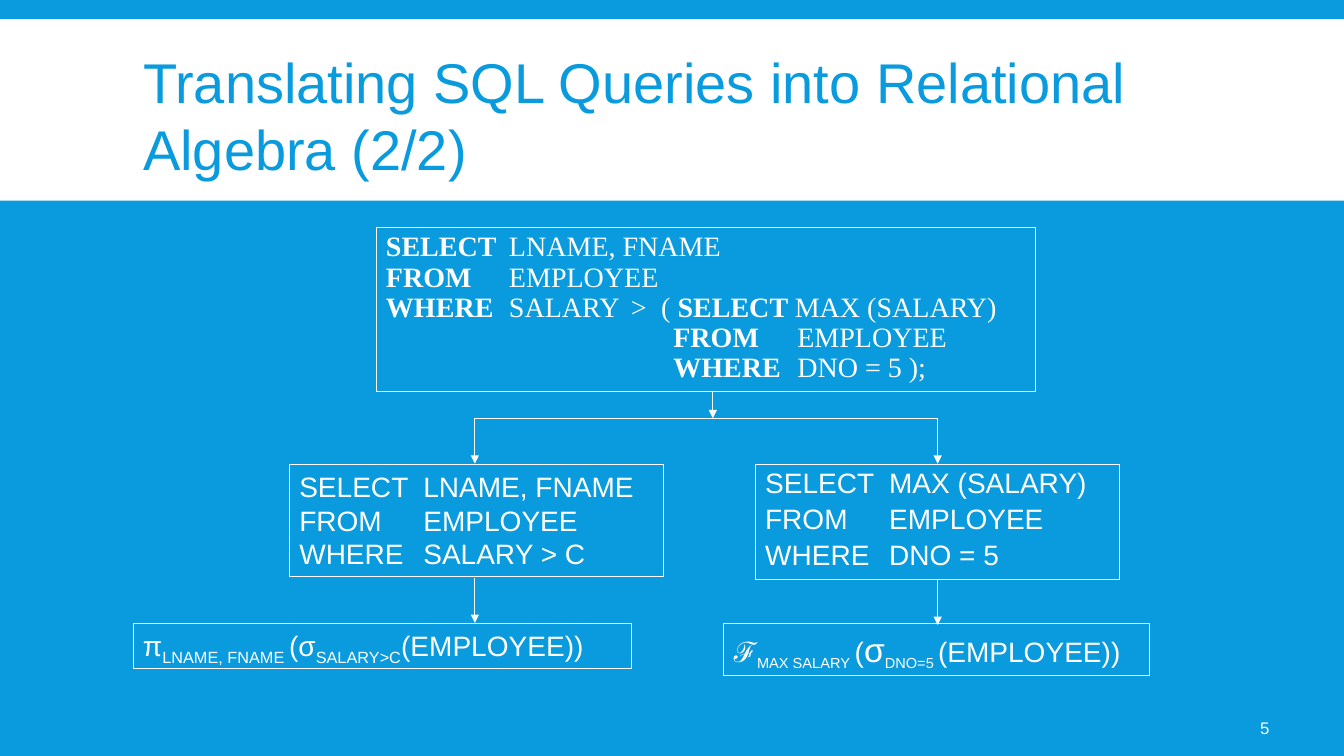
"""Build a slide that splits a nested SQL query into relational algebra."""
import lxml.etree
import pptx
import pptx.dml.color
import pptx.enum.shapes
import pptx.enum.text
import pptx.oxml.ns
import pptx.util

Inches = pptx.util.Inches
Pt = pptx.util.Pt
Shape = pptx.enum.shapes.MSO_SHAPE
Align = pptx.enum.text.PP_ALIGN
Anchor = pptx.enum.text.MSO_ANCHOR
qn = pptx.oxml.ns.qn


class Theme:
    blue = pptx.dml.color.RGBColor.from_string("099BDD")
    white = pptx.dml.color.RGBColor.from_string("FFFFFF")
    sans = "Arial"
    serif = "Times New Roman"
    title = 40
    sigma = 24
    text = 20
    sub = 18
    page = 12
    rule = 0.75


def put(para, text, size=Theme.text, face=Theme.sans, color=Theme.white, bold=False, base=0):
    run = para.add_run()
    run.text = text
    run.font.size = Pt(size)
    run.font.name = face
    run.font.color.rgb = color
    run.font.bold = bold
    if base:
        run._r.get_or_add_rPr().set("baseline", str(base * 1000))


deck = pptx.Presentation()
deck.slide_width = Inches(13.33)
deck.slide_height = Inches(7.5)
slide = deck.slides.add_slide(deck.slide_layouts[5])
slide.background.fill.solid()
slide.background.fill.fore_color.rgb = Theme.blue

band = slide.shapes.add_shape(Shape.RECTANGLE, 0, Inches(0.19), Inches(13.33), Inches(1.8))
band.shadow.inherit = False
band.fill.solid()
band.fill.fore_color.rgb = Theme.white
band.line.fill.background()
slide.shapes._spTree.insert(2, band._element)

title = slide.shapes.title
title.left, title.top = Inches(1.32), Inches(0.31)
title.width, title.height = Inches(10.7), Inches(1.65)
frame = title.text_frame
frame.auto_size = pptx.enum.text.MSO_AUTO_SIZE.NONE
frame.word_wrap = True
frame.vertical_anchor = Anchor.MIDDLE
frame.paragraphs[0].alignment = Align.LEFT
put(frame.paragraphs[0], "Translating SQL Queries into Relational Algebra (2/2)",
    size=Theme.title, color=Theme.blue)

page = slide.shapes.add_textbox(Inches(11.66), Inches(7.02), Inches(1.03), Inches(0.4))
frame = page.text_frame
frame.word_wrap = True
frame.margin_left = Inches(0.05)
frame.vertical_anchor = Anchor.MIDDLE
frame.paragraphs[0].alignment = Align.RIGHT
put(frame.paragraphs[0], "5", size=Theme.page)

plain = {"face": Theme.serif}
key = {"face": Theme.serif, "bold": True}
low = {"base": -25}
small = {"size": Theme.sub, "base": -25}
outer = [1.22, 2.43, 2.73]
inner = [2.85, 4.08]
pair = [1.23]

boxes = [
    ((3.73, 2.26, 6.54, 1.62), 0.9, 0, [
        (outer, [("SELECT", key), ("\tLNAME, FNAME", plain)]),
        (outer, [("FROM", key), ("\tEMPLOYEE", plain)]),
        (outer, [("WHERE", key), ("\tSALARY\t>\t( ", plain), ("SELECT ", key),
                 ("MAX (SALARY)", plain)]),
        (inner, [("\tFROM", key), ("\tEMPLOYEE", plain)]),
        (inner, [("\tWHERE", key), ("\tDNO = 5 );", plain)]),
    ]),
    ((2.87, 4.61, 3.71, 1.11), 1.0, 0, [
        (pair, [("SELECT\tLNAME, FNAME", {})]),
        (pair, [("FROM\tEMPLOYEE", {})]),
        (pair, [("WHERE\tSALARY > C", {})]),
    ]),
    ((7.49, 4.61, 3.61, 1.14), 0.9, 4, [
        (pair, [("SELECT\tMAX (SALARY)", {})]),
        (pair, [("FROM\tEMPLOYEE", {})]),
        (pair, [("WHERE\tDNO = 5", {})]),
    ]),
    ((1.32, 6.19, 4.94, 0.44), 1.0, 0, [
        ([], [("π", {}), ("LNAME, FNAME ", low), ("(σ", {}), ("SALARY>C", low),
              ("(EMPLOYEE))", {})]),
    ]),
    ((7.18, 6.19, 4.22, 0.51), 1.0, 0, [
        ([], [("ℱ", {}), ("MAX SALARY", small), (" ", low), ("(", {}),
              ("σ", {"size": Theme.sigma}), ("DNO=5 ", small), ("(EMPLOYEE))", {})]),
    ]),
]

for place, pitch, gap, lines in boxes:
    box = slide.shapes.add_shape(Shape.RECTANGLE, *map(Inches, place))
    box.shadow.inherit = False
    box.fill.background()
    box.line.color.rgb = Theme.white
    box.line.width = Pt(Theme.rule)
    frame = box.text_frame
    frame.word_wrap = True
    frame.vertical_anchor = Anchor.TOP
    for row, (stops, runs) in enumerate(lines):
        para = frame.paragraphs[0] if row == 0 else frame.add_paragraph()
        para.alignment = Align.LEFT
        para.line_spacing = pitch
        if row and gap:
            para.space_before = Pt(gap)
        if stops:
            tabs = lxml.etree.SubElement(para._p.get_or_add_pPr(), qn("a:tabLst"))
            for stop in stops:
                lxml.etree.SubElement(tabs, qn("a:tab"), pos=str(Inches(stop)), algn="l")
        for text, form in runs:
            put(para, text, **form)

left, mid, right, fork = 4.71, 7.07, 9.3, 4.15
links = [
    (left, fork, right, fork, False),
    (mid, 3.89, mid, fork, True),
    (left, fork, left, 4.6, True),
    (right, fork, right, 4.6, True),
    (left, 5.73, left, 6.18, True),
    (right, 5.75, right, 6.2, True),
]
for *ends, arrow in links:
    link = slide.shapes.add_connector(
        pptx.enum.shapes.MSO_CONNECTOR.STRAIGHT, *map(Inches, ends))
    link.line.color.rgb = Theme.white
    link.line.width = Pt(Theme.rule)
    if arrow:
        lxml.etree.SubElement(link.line._get_or_add_ln(), qn("a:tailEnd"), type="triangle")
    lxml.etree.SubElement(link._element.spPr, qn("a:effectLst"))

deck.save("out.pptx")
